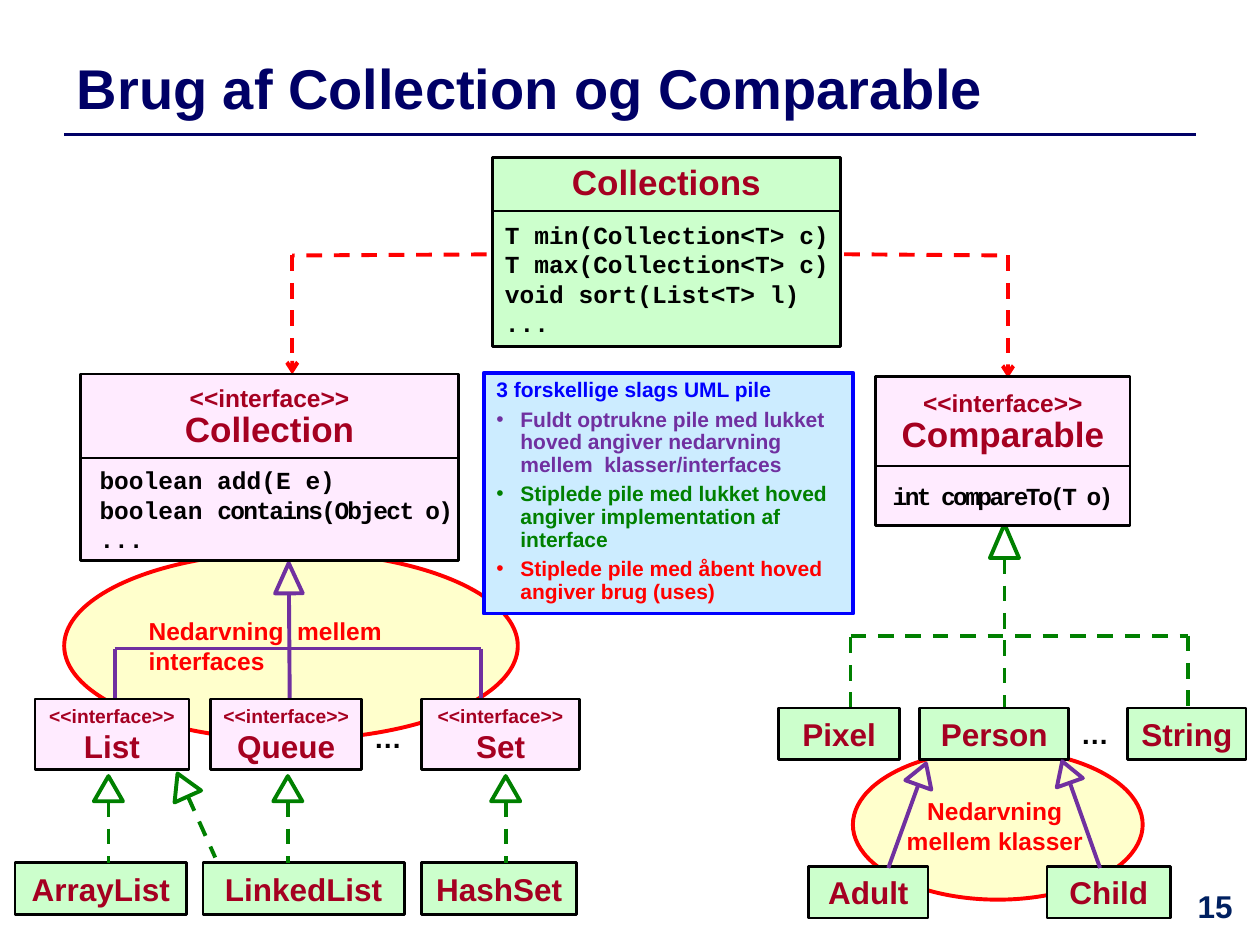
import math
from itertools import pairwise
from lxml import etree
from pptx import Presentation
from pptx.dml.color import RGBColor
from pptx.enum import dml, shapes, text
from pptx.oxml import ns
from pptx.util import Pt

NAVY, WINE, BLACK = "000066", "A50021", "000000"
RED, GREEN, PURPLE, BLUE = "FF0000", "008000", "7030A0", "0000FF"
MINT, PINK, CREAM, SKY = "CCFFCC", "FFEBFF", "FFFFCC", "CCECFF"
LEFT, CENTER = text.PP_ALIGN.LEFT, text.PP_ALIGN.CENTER
TOP, MIDDLE = text.MSO_ANCHOR.TOP, text.MSO_ANCHOR.MIDDLE
MONO = "Courier New"


def color(value):
    return RGBColor.from_string(value)


def points(box):
    return [Pt(value) for value in box]


def apply(target, values):
    for name, value in values.items():
        setattr(target, name, value)


def span(words, size, tint=WINE, font="Arial", tracking=0):
    return words, size, tint, font, tracking


def write(frame, paras, anchor=MIDDLE, inset=7.2, wrap=True, **layout):
    apply(frame, {"auto_size": text.MSO_AUTO_SIZE.NONE, "word_wrap": wrap,
                  "vertical_anchor": anchor, "margin_left": Pt(inset),
                  "margin_right": Pt(inset), "margin_top": Pt(3.6),
                  "margin_bottom": Pt(3.6)})
    for index, spans in enumerate(paras):
        para = frame.paragraphs[0] if index == 0 else frame.add_paragraph()
        apply(para, {"alignment": CENTER, "space_before": Pt(0), **layout})
        for words, size, tint, font, tracking in spans:
            run = para.add_run()
            run.text = words
            apply(run.font, {"size": Pt(size), "bold": True, "name": font})
            run.font.color.rgb = color(tint)
            if tracking:
                run.font._element.set("spc", str(int(tracking * 100)))


def label(page, box, paras, **layout):
    area = page.shapes.add_textbox(*points(box))
    write(area.text_frame, paras, **layout)
    return area


def paint(shape, fill, line, width):
    if fill:
        shape.fill.solid()
        shape.fill.fore_color.rgb = color(fill)
    else:
        shape.fill.background()
    shape.line.color.rgb = color(line)
    shape.line.width = Pt(width)


def preset(page, kind, box, fill, line=BLACK, width=1.5):
    shape = page.shapes.add_shape(kind, *points(box))
    shape.shadow.inherit = False
    paint(shape, fill, line, width)
    return shape


def route(page, stops, tint, width=2.25, dashed=False, arrow=False):
    for start, end in pairwise(stops):
        edge = page.shapes.add_connector(shapes.MSO_CONNECTOR.STRAIGHT, *points(start + end))
        edge.line.color.rgb = color(tint)
        edge.line.width = Pt(width)
        if dashed:
            edge.line.dash_style = dml.MSO_LINE.DASH
        etree.SubElement(edge._element.spPr, ns.qn("a:effectLst"))
    if arrow:
        etree.SubElement(edge.line._get_or_add_ln(), ns.qn("a:tailEnd"), type="arrow")


def hollow_arrow(page, tip, tail, head, tint, dashed=False):
    across, down = tail[0] - tip[0], tail[1] - tip[1]
    length = math.hypot(across, down)
    across, down = across / length, down / length
    width, height = head
    middle = tip[0] + across * height / 2, tip[1] + down * height / 2
    base = tip[0] + across * height, tip[1] + down * height
    route(page, [base, tail], tint, dashed=dashed)
    box = middle[0] - width / 2, middle[1] - height / 2, width, height
    triangle = preset(page, shapes.MSO_SHAPE.ISOSCELES_TRIANGLE, box, None, tint, 2.25)
    triangle.rotation = math.degrees(math.atan2(-across, down))


def heading(page, box, words):
    left, top, width, height = box
    apply(page.shapes.title, dict(zip(("left", "top", "width", "height"), points(box))))
    write(page.shapes.title.text_frame, [[span(words, 32, NAVY)]], alignment=LEFT)
    route(page, [(left, top + height + 3), (683.3, top + height + 3)], NAVY, 2)


def name_box(page, box, name, interface=False):
    shape = preset(page, shapes.MSO_SHAPE.RECTANGLE, box, PINK if interface else MINT)
    paras = [[span("<<interface>>", 11)]] if interface else []
    write(shape.text_frame, paras + [[span(name, 18)]], wrap=False)


def class_box(page, box, divider, header, members, fill, inset=7.2):
    left, top, width, height = box
    preset(page, shapes.MSO_SHAPE.RECTANGLE, box, fill)
    area = label(page, (left, top, width, divider), header)
    area.text_frame.paragraphs[-1].line_spacing = 0.9
    label(page, (left, top + divider, width, height - divider), members, inset=inset,
          wrap=False, alignment=LEFT, line_spacing=Pt(16.8))
    route(page, [(left, top + divider), (left + width, top + divider)], BLACK, 1.5)


def legend(page, box, title, entries):
    body = page.placeholders[1]
    page.shapes._spTree.append(body._element)
    apply(body, dict(zip(("left", "top", "width", "height"), points(box))))
    paint(body, SKY, BLUE, 2.25)
    paras = [[span(title, 12, BLUE)]] + [[span(words, 12, tint)] for words, tint in entries]
    write(body.text_frame, paras, anchor=TOP, alignment=LEFT,
          line_spacing=Pt(12.9), space_before=Pt(4))
    first, *bullets = body.text_frame.paragraphs
    first.space_before = Pt(0)
    props = first._p.get_or_add_pPr()
    apply_indent(props, 0, 0)
    etree.SubElement(props, ns.qn("a:buNone"))
    for para in bullets:
        apply_indent(para._p.get_or_add_pPr(), 13.7, -13.7)


def apply_indent(props, margin, indent):
    props.set("marL", str(Pt(margin)))
    props.set("indent", str(Pt(indent)))


def code(words, tracking=0):
    return span(words, 14, BLACK, MONO, tracking)


deck = Presentation()
deck.slide_width, deck.slide_height = Pt(720), Pt(540)
page = deck.slides.add_slide(deck.slide_layouts[1])

heading(page, (36.7, 26, 674.6, 48), "Brug af Collection og Comparable")
for zone in [(36.7, 315.4, 259.2, 107.3), (487.4, 428.4, 165.6, 85.7)]:
    preset(page, shapes.MSO_SHAPE.OVAL, zone, CREAM, RED, 2.25)

route(page, [(482.4, 145.3), (576, 146), (576, 216)], RED, dashed=True, arrow=True)
route(page, [(293.8, 145.3), (167, 146), (167, 214)], RED, dashed=True, arrow=True)
route(page, [(486, 404.6), (486, 363.2), (678.8, 363.2), (678.8, 404.6)], GREEN, dashed=True)
route(page, [(65.5, 410), (65.5, 370.6), (275, 370.6), (275, 410)], PURPLE)
hollow_arrow(page, (574, 299.5), (574, 404.6), (16.6, 19.4), GREEN, True)
hollow_arrow(page, (165, 321.8), (165.6, 406), (15.8, 17.3), PURPLE)

stereotype = [span("<<interface>>", 14)]
class_box(page, (281.5, 90, 198.7, 108), 30.6, [[span("Collections", 20)]],
          [[code(words)] for words in ("T min(Collection<T> c)", "T max(Collection<T> c)",
                                       "void sort(List<T> l)", "...")], MINT)
class_box(page, (46.1, 213.8, 216, 106.6), 48, [stereotype, [span("Collection", 20)]],
          [[code("boolean add(E e)")], [code("boolean "), code("contains(Object o)", -1)],
           [code("...")]], PINK, 10.8)
class_box(page, (500.4, 215.3, 145.4, 85), 51, [stereotype, [span("Comparable", 20)]],
          [[code("int compareTo(T o)", -1.5)]], PINK, 9.7)
legend(page, (276.5, 213.1, 211, 137.5), "3 forskellige slags UML pile", [
    ("Fuldt optrukne pile med lukket hoved angiver nedarvning mellem  klasser/interfaces", PURPLE),
    ("Stiplede pile med lukket hoved angiver implementation af interface", GREEN),
    ("Stiplede pile med åbent hoved angiver brug (uses)", RED)])

for name, left, width in [("List", 20, 88), ("Queue", 120.4, 86.4), ("Set", 241, 90)]:
    name_box(page, (left, 399.4, width, 40.5), name, True)
for name, left, top, width in [
        ("Pixel", 445, 404.6, 69), ("Person", 525.6, 404.6, 85), ("String", 644.4, 404.6, 67.7),
        ("ArrayList", 8.6, 493, 98), ("LinkedList", 116, 493, 115), ("HashSet", 241, 493, 88.6),
        ("Adult", 462, 495, 68.4), ("Child", 598.3, 495, 70.6)]:
    name_box(page, (left, top, width, 29.6), name)

for column in (62, 164.5, 289):
    hollow_arrow(page, (column, 443.5), (column, 493), (16.6, 14.4), GREEN, True)
hollow_arrow(page, (101.5, 442), (123, 490), (16.6, 14.4), GREEN, True)
for tip, tail in [((529.2, 436.3), (507.6, 496)), ((607, 435), (628.6, 496))]:
    hollow_arrow(page, tip, tail, (15.8, 13), PURPLE)

for left, top in [(610.6, 406), (206.6, 408.2)]:
    label(page, (left, top, 36, 26.6), [[span("…", 16, BLACK)]], anchor=TOP, alignment=LEFT)
label(page, (77.8, 348.5, 152.6, 41), [[span("Nedarvning  mellem interfaces", 14, RED)]],
      alignment=LEFT, line_spacing=Pt(17))
label(page, (510.5, 451.4, 115.9, 41), [[span("Nedarvning mellem klasser", 14, RED)]],
      inset=4, line_spacing=Pt(17))
label(page, (668.9, 503.3, 51, 36), [[span("15", 18, "002060")]], anchor=TOP)

deck.save("out.pptx")
